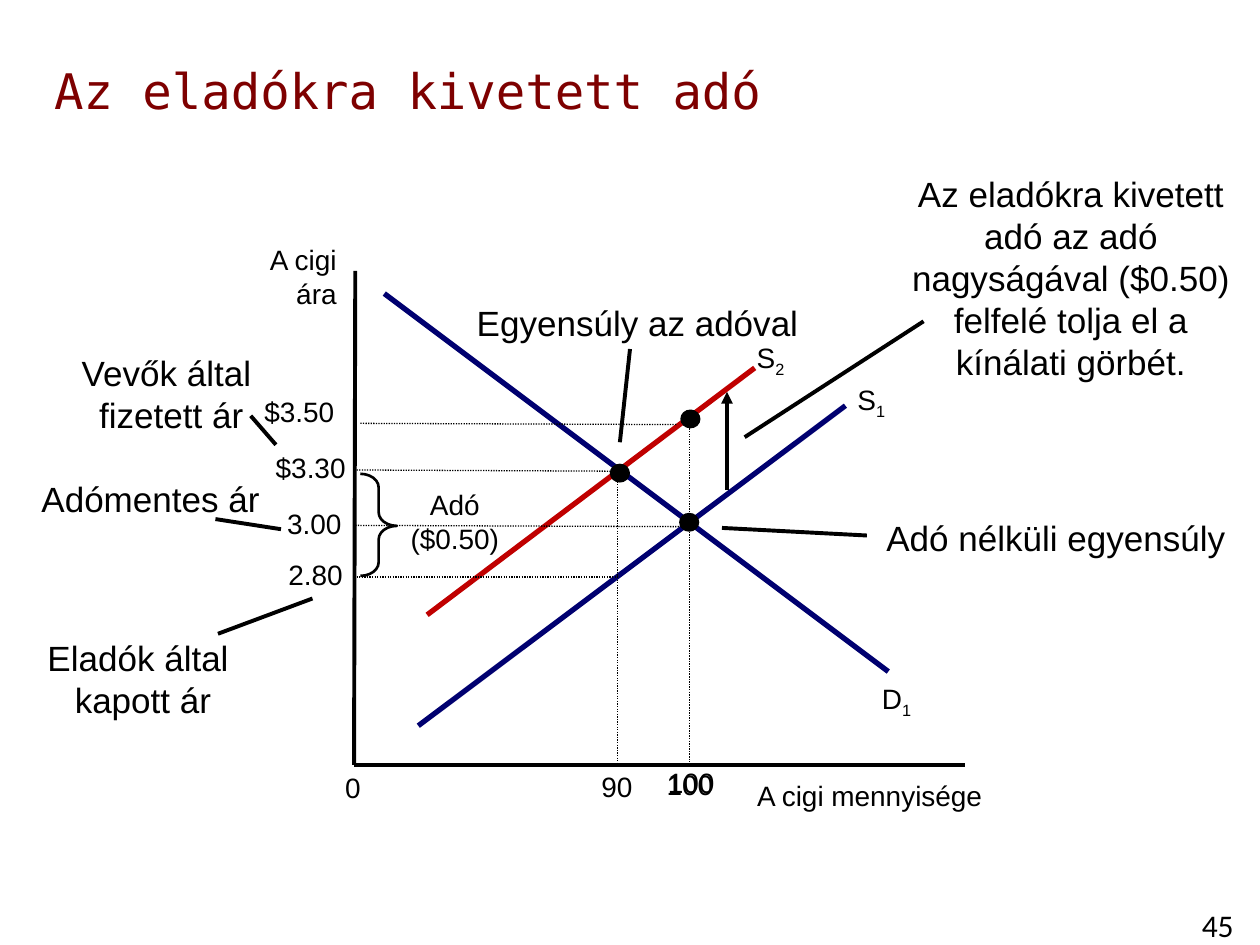
from dataclasses import dataclass
from math import cos, pi, sin

from lxml.etree import SubElement
from pptx import Presentation
from pptx.dml.color import RGBColor
from pptx.enum.dml import MSO_LINE_DASH_STYLE as Dash
from pptx.enum.shapes import MSO_CONNECTOR as Conn, MSO_SHAPE as Shape
from pptx.enum.text import MSO_ANCHOR as Anchor, PP_ALIGN as Align
from pptx.oxml.ns import qn
from pptx.util import Pt

EMU_PER_PX = 9144  # 100 px to the inch


def emu(px):
    return round(px * EMU_PER_PX)


@dataclass(frozen=True)
class Theme:
    title_font: str = "DejaVu Sans Mono"
    font: str = "Arial"
    number_font: str = "Calibri"
    title_size: int = 28
    note_size: int = 20
    number_size: int = 18
    label_size: int = 16
    title: str = "7E0000"
    ink: str = "000000"
    paper: str = "FFFFFF"
    curve: str = "000070"
    shifted: str = "C00000"
    guide_width: float = 0.75
    brace_width: float = 1.5
    line_width: float = 2.25
    curve_width: float = 3


class Deck:
    """Draws elements on the current slide in one theme."""

    def __init__(self, theme, width, height):
        self.t = theme
        self.prs = Presentation()
        self.prs.slide_width, self.prs.slide_height = emu(width), emu(height)

    def new_slide(self):
        self.s = self.prs.slides.add_slide(self.prs.slide_layouts[5])

    def style(self, font, size, name, color):
        font.size, font.name = Pt(size), name
        font.color.rgb = RGBColor.from_string(color)

    def title(self, text, x, y, w, h):
        sp = self.s.shapes.title
        sp.left, sp.top, sp.width, sp.height = map(emu, (x, y, w, h))
        tf = sp.text_frame
        tf.text, tf.vertical_anchor = text, Anchor.MIDDLE
        p = tf.paragraphs[0]
        p.alignment = Align.LEFT
        self.style(p.runs[0].font, self.t.title_size, self.t.title_font, self.t.title)

    def text(self, text, x, y, w, h, size=None, align=Align.CENTER,
             wrap=True, sub=None, font=None):
        tf = self.s.shapes.add_textbox(*map(emu, (x, y, w, h))).text_frame
        tf.text, tf.word_wrap = text, wrap
        if sub:
            r = tf.paragraphs[0].add_run()
            r.text = sub
            r._r.get_or_add_rPr().set("baseline", "-25000")
        for p in tf.paragraphs:
            p.alignment = align
            for r in p.runs:
                self.style(r.font, size or self.t.label_size, font or self.t.font, self.t.ink)

    def note(self, text, x, y, w, h):
        self.text(text, x, y, w, h, self.t.note_size)

    def line(self, x1, y1, x2, y2, width=None, color=None, dash=None, arrow=False):
        c = self.s.shapes.add_connector(Conn.STRAIGHT, *map(emu, (x1, y1, x2, y2)))
        c.line.width = Pt(width or self.t.line_width)
        c.line.color.rgb = RGBColor.from_string(color or self.t.ink)
        if dash:
            c.line.dash_style = dash
        spPr = c._element.spPr
        if arrow:
            SubElement(spPr.find(qn("a:ln")), qn("a:tailEnd"), type="triangle")
        SubElement(spPr, qn("a:effectLst"))

    def guide(self, x1, y1, x2, y2):
        self.line(x1, y1, x2, y2, self.t.guide_width, dash=Dash.ROUND_DOT)

    def curve(self, ends, color, name, sub, x, y, w):
        self.line(*ends, self.t.curve_width, color)
        self.text(name, x, y, w, 37, wrap=False, sub=sub)

    def plot_area(self, x, y, w, h):
        sp = self.s.shapes.add_shape(Shape.RECTANGLE, *map(emu, (x, y, w, h)))
        sp.shadow.inherit = False
        sp.fill.solid()
        sp.fill.fore_color.rgb = RGBColor.from_string(self.t.paper)
        sp.line.color.rgb = RGBColor.from_string(self.t.paper)
        sp.line.width = Pt(2)

    def brace(self, x, y, w, h):
        sp = self.s.shapes.add_shape(Shape.LEFT_BRACE, *map(emu, (x, y, w, h)))
        sp.shadow.inherit = False
        sp.rotation = 180
        sp.adjustments[0], sp.adjustments[1] = 0.37, 0.49
        sp.fill.background()
        sp.line.color.rgb = RGBColor.from_string(self.t.ink)
        sp.line.width = Pt(self.t.brace_width)

    def dot(self, x, y, w=16, h=15, sides=16):
        """Polygon marker with its top left corner at x, y."""
        pts = [(emu(x + w / 2 * (1 + sin(a))), emu(y + h / 2 * (1 + cos(a))))
               for a in (2 * pi * i / sides for i in range(sides))]
        fb = self.s.shapes.build_freeform(*pts[0])
        fb.add_line_segments(pts[1:], close=True)
        sp = fb.convert_to_shape()
        sp.shadow.inherit = False
        sp.fill.solid()
        sp.fill.fore_color.rgb = RGBColor.from_string(self.t.ink)
        sp.line.fill.background()


def draw_market(d):
    t = d.t
    d.plot_area(282, 223, 484, 383)
    d.line(282, 215, 281, 607)
    d.text("A cigi\nára", 123, 188, 154, 64, align=Align.RIGHT)
    d.line(281, 607, 766, 607)
    d.text("A cigi mennyisége", 591, 613, 329, 37, align=Align.LEFT)
    d.text("0", 264, 607, 33, 37, align=Align.LEFT, wrap=False)

    d.curve((305, 233, 705, 533), t.curve, "D", "1", 689, 536, 45)
    d.curve((332, 576, 671, 322), t.curve, "S", "1", 670, 299, 43)
    d.curve((339, 488, 599, 292), t.shifted, "S", "2", 590, 265, 43)

    for x, y in ((539, 407), (484, 368), (540, 325)):
        d.dot(x, y)

    quantities = (
        ("90", (490, 374, 490, 606), (467, 606, 45, 37)),
        ("100", (547, 418, 547, 605), (519, 604, 57, 37)),
        ("100", (547, 338, 547, 603), (520, 603, 57, 53)),
    )
    for text, ends, box in quantities:
        d.guide(*ends)
        d.text(text, *box, wrap=False)

    prices = (
        ("$3.30", (281, 373, 491, 374), (209, 353, 76, 37), False),
        ("3.00", (282, 417, 545, 418), (218, 397, 64, 37), False),
        ("2.80", (283, 458, 490, 458), (219, 438, 64, 37), False),
        ("$3.50", (286, 336, 537, 337), (200, 308, 91, 51), True),
    )
    for text, ends, box, wrap in prices:
        d.guide(*ends)
        d.text(text, *box, align=Align.LEFT, wrap=wrap)


def draw_notes(d):
    d.note("Vevők által \nfizetett ár", 54, 274, 164, 77)
    d.note("Adómentes ár", 22, 374, 195, 44)
    d.note("Eladók által \nkapott ár", 27, 500, 173, 77)
    d.note("Az eladókra kivetett adó az adó nagyságával ($0.50) "
           "felfelé tolja el a kínálati görbét.", 708, 132, 284, 178)
    d.note("Adó nélküli egyensúly", 692, 405, 292, 44)
    d.note("Egyensúly az adóval", 367, 234, 278, 44)

    pointers = ((199, 330, 219, 353), (171, 412, 223, 420), (173, 503, 248, 475),
                (591, 347, 733, 255), (573, 419, 688, 425), (492, 351, 500, 277))
    for ends in pointers:
        d.line(*ends)
    d.line(577, 389, 577, 311, arrow=True)

    d.text("Adó\n($0.50)", 309, 382, 104, 91)
    d.brace(286, 376, 29, 81)


def main():
    d = Deck(Theme(), 1000, 750)
    d.new_slide()
    d.title("Az eladókra kivetett adó", 33, 42, 967, 58)
    d.text("45", 933, 714, 67, 40, d.t.number_size, font=d.t.number_font)
    draw_market(d)
    draw_notes(d)
    d.prs.save("out.pptx")


if __name__ == "__main__":
    main()
